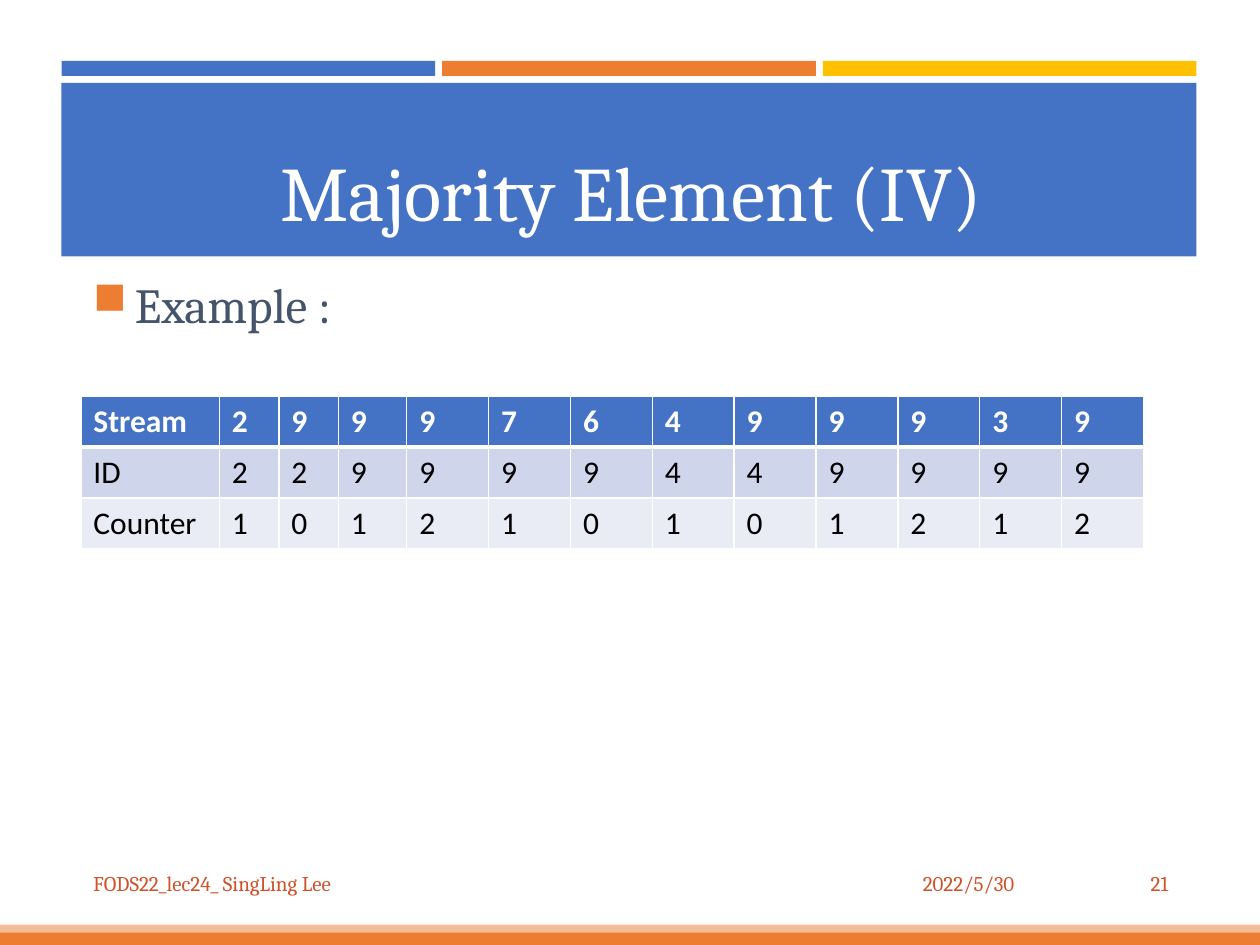
from dataclasses import dataclass

from lxml.etree import SubElement
from pptx import Presentation
from pptx.dml.color import RGBColor
from pptx.enum.shapes import MSO_SHAPE
from pptx.enum.text import MSO_ANCHOR, PP_ALIGN
from pptx.oxml.ns import qn
from pptx.util import Cm, Pt


@dataclass(frozen=True)
class Theme:
    blue: str = "4472C4"
    orange: str = "ED7D31"
    gold: str = "FFC000"
    white: str = "FFFFFF"
    black: str = "000000"
    slate: str = "44546A"
    footer: str = "D0522B"
    row_fills: tuple = ("4472C4", "CFD5EA", "E9EBF5")
    heading_font: str = "Cambria"
    table_font: str = "Calibri"
    title_size: int = 44
    body_size: int = 28
    table_size: int = 18
    footer_size: int = 12


THEME = Theme()
LEFT, BAND_WIDTH = 1.24, 22.88
TEXT_LEFT, TEXT_WIDTH = 1.63, 22.2

COLUMN_WIDTHS = [2.79, 1.2, 1.2, 1.38] + [1.65] * 9
STREAM_ROWS = [
    ["Stream", *"299976499939"],
    ["ID", *"229999449999"],
    ["Counter", *"101210101212"],
]


def add_bar(slide, left, top, width, height, color, opacity=100):
    bar = slide.shapes.add_shape(
        MSO_SHAPE.RECTANGLE, Cm(left), Cm(top), Cm(width), Cm(height))
    bar.shadow.inherit = False
    bar.line.fill.background()
    bar.fill.solid()
    bar.fill.fore_color.rgb = RGBColor.from_string(color)
    if opacity < 100:
        tint = bar.fill._xPr.find(".//" + qn("a:srgbClr"))
        SubElement(tint, qn("a:alpha"), val=str(opacity * 1000))


def format_run(run, font, size, color, bold=False):
    run.font.name = font
    run.font.size = Pt(size)
    run.font.bold = bold
    run.font.color.rgb = RGBColor.from_string(color)


def add_text(slide, text, left, top, width, height, size, color,
             align=PP_ALIGN.LEFT, anchor=MSO_ANCHOR.MIDDLE):
    """Add a one-paragraph text box and return its paragraph."""
    frame = slide.shapes.add_textbox(
        Cm(left), Cm(top), Cm(width), Cm(height)).text_frame
    frame.word_wrap = True
    frame.vertical_anchor = anchor
    frame.text = text
    paragraph = frame.paragraphs[0]
    paragraph.alignment = align
    format_run(paragraph.runs[0], THEME.heading_font, size, color)
    return paragraph


def add_bullet(paragraph):
    """Give the paragraph a hanging square bullet."""
    paragraph.space_before = Pt(5.6)
    paragraph.space_after = Pt(6)
    properties = paragraph._p.get_or_add_pPr()
    indent = Cm(0.84)
    properties.set("marL", str(indent))
    properties.set("indent", str(-indent))
    bullet_color = SubElement(properties, qn("a:buClr"))
    SubElement(bullet_color, qn("a:srgbClr"), val=THEME.orange)
    SubElement(properties, qn("a:buSzPct"), val="92000")
    SubElement(properties, qn("a:buChar"), char="■")


def set_borders(cell, top, bottom):
    """Draw white cell borders; top and bottom widths are in points."""
    properties = cell._tc.get_or_add_tcPr()
    for side, width in (("lnL", 1), ("lnR", 1), ("lnT", top), ("lnB", bottom)):
        line = SubElement(properties, qn(f"a:{side}"), w=str(Pt(width)))
        fill = SubElement(line, qn("a:solidFill"))
        SubElement(fill, qn("a:srgbClr"), val=THEME.white)


def add_stream_table(slide):
    row_height = 1.03
    table = slide.shapes.add_table(
        len(STREAM_ROWS), len(COLUMN_WIDTHS), Cm(TEXT_LEFT), Cm(7.98),
        Cm(sum(COLUMN_WIDTHS)), Cm(row_height * len(STREAM_ROWS))).table
    for column, width in zip(table.columns, COLUMN_WIDTHS):
        column.width = Cm(width)
    for r, values in enumerate(STREAM_ROWS):
        table.rows[r].height = Cm(row_height)
        header = r == 0
        for c, value in enumerate(values):
            cell = table.cell(r, c)
            set_borders(cell, top=3 if r == 1 else 1, bottom=3 if header else 1)
            cell.fill.solid()
            cell.fill.fore_color.rgb = RGBColor.from_string(THEME.row_fills[r])
            cell.text_frame.text = value
            format_run(cell.text_frame.paragraphs[0].runs[0], THEME.table_font,
                       THEME.table_size, THEME.white if header else THEME.black,
                       bold=header)


def add_decoration(slide):
    gap = 0.14
    width = (BAND_WIDTH - 2 * gap) / 3
    for i, color in enumerate((THEME.blue, THEME.orange, THEME.gold)):
        add_bar(slide, LEFT + i * (width + gap), 1.23, width, 0.3, color)
    add_bar(slide, 0, 18.8, 25.4, 0.25, THEME.orange)
    add_bar(slide, 0, 18.64, 25.4, 0.23, THEME.orange, opacity=50)
    add_bar(slide, LEFT, 1.67, BAND_WIDTH, 3.5, THEME.blue)


def add_footer(slide):
    for text, left, width, align in (
            ("2022/5/30", 15.49, 5.21, PP_ALIGN.RIGHT),
            ("FODS22_lec24_ SingLing Lee", TEXT_LEFT, 13.44, PP_ALIGN.LEFT),
            ("21", 21.13, 2.67, PP_ALIGN.RIGHT)):
        add_text(slide, text, left, 17.3, width, 1.02,
                 THEME.footer_size, THEME.footer, align)


def main():
    presentation = Presentation()
    presentation.slide_width = Cm(25.4)
    presentation.slide_height = Cm(19.05)
    slide = presentation.slides.add_slide(presentation.slide_layouts[6])

    add_decoration(slide)
    add_text(slide, "Majority Element (IV)", TEXT_LEFT, 1.9, TEXT_WIDTH, 3,
             THEME.title_size, THEME.white, PP_ALIGN.CENTER, MSO_ANCHOR.BOTTOM)
    example = add_text(slide, "Example :", TEXT_LEFT, 5.41, TEXT_WIDTH, 11.66,
                       THEME.body_size, THEME.slate, anchor=MSO_ANCHOR.TOP)
    add_bullet(example)
    add_footer(slide)
    add_stream_table(slide)
    presentation.save("out.pptx")


if __name__ == "__main__":
    main()
